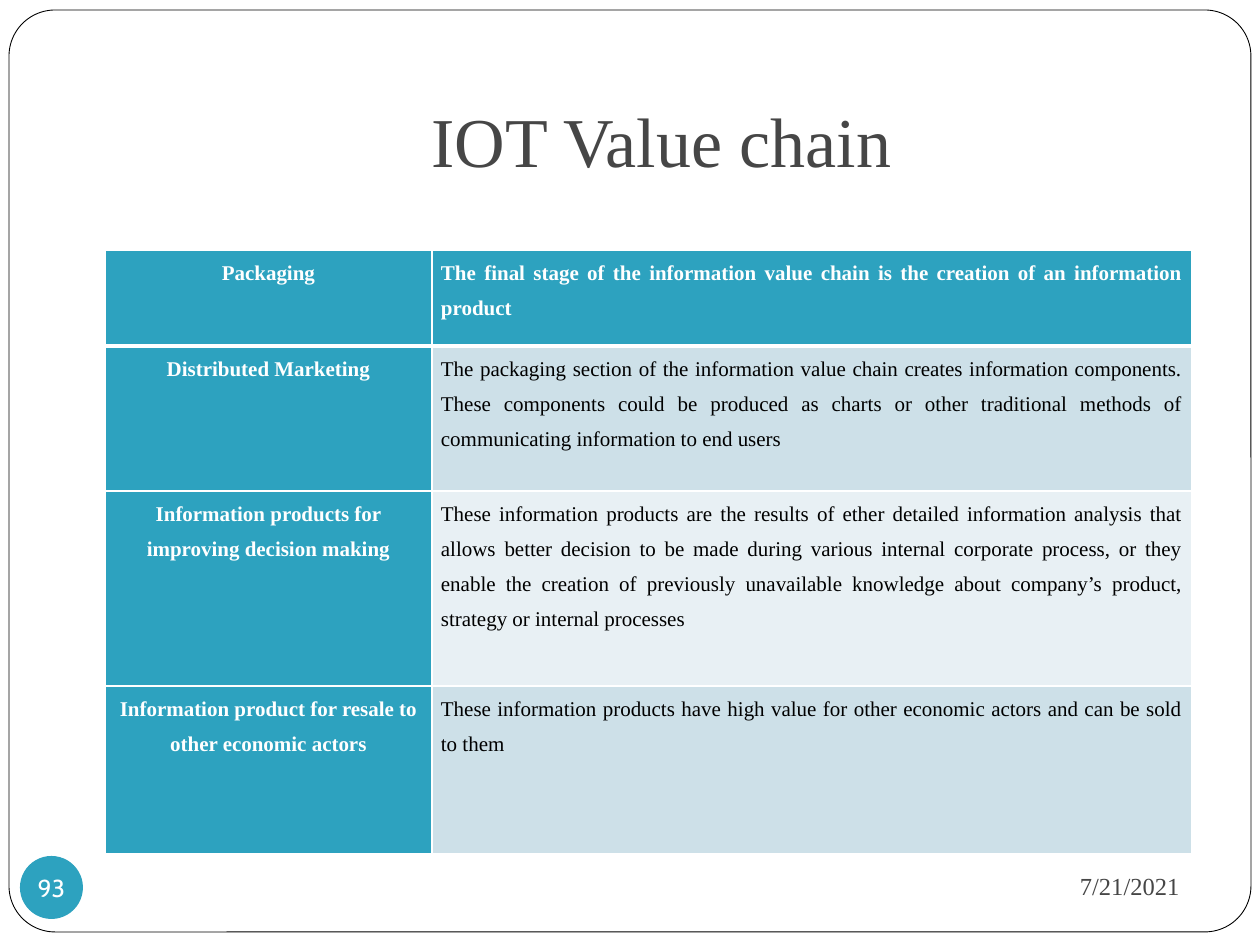
from lxml import etree
from pptx import Presentation
from pptx.dml.color import RGBColor
from pptx.enum.shapes import MSO_SHAPE
from pptx.enum.text import MSO_ANCHOR, MSO_AUTO_SIZE, PP_ALIGN
from pptx.oxml.ns import qn
from pptx.util import Emu, Pt

LEFT, MID, RIGHT, JUST = PP_ALIGN.LEFT, PP_ALIGN.CENTER, PP_ALIGN.RIGHT, PP_ALIGN.JUSTIFY
TOP, CENTRE, BOTTOM = MSO_ANCHOR.TOP, MSO_ANCHOR.MIDDLE, MSO_ANCHOR.BOTTOM
ROUND, OVAL = MSO_SHAPE.ROUNDED_RECTANGLE, MSO_SHAPE.OVAL
FIXED = MSO_AUTO_SIZE.NONE
SCALE = 914400 / 126
SERIF = "Times New Roman"
TEAL, WHITE, BLACK, GREY = "2DA2BF", "FFFFFF", "000000", "464646"
BANDS = ["E8F0F4", "CDE0E8"]
WIDTHS = [327, 760]
HEIGHTS = [96, 145, 195, 168]
ROWS = [
    ("Packaging",
     "The final stage of the information value chain is the creation of an information product"),
    ("Distributed Marketing",
     "The packaging section of the information value chain creates information components. "
     "These components could be produced as charts or other traditional methods of "
     "communicating information to end users"),
    ("Information products for improving decision making",
     "These information products are the results of ether detailed information analysis that "
     "allows better decision to be made during various internal corporate process, or they "
     "enable the creation of previously unavailable knowledge about company’s product, "
     "strategy or internal processes"),
    ("Information product for resale to other economic actors",
     "These information products have high value for other economic actors and can be sold to them"),
]


def px(num):
    """Turn pixels into EMU."""
    return Emu(round(num * SCALE))


def paint(target, tint):
    """Give a fill or line one solid colour."""
    target.fill.solid()
    target.fill.fore_color.rgb = RGBColor.from_string(tint)


def write(frame, text, size=12, tint=BLACK, face=SERIF, bold=False,
          align=LEFT, lead=None, after=None):
    """Put one formatted paragraph in a text frame."""
    para = frame.paragraphs[0]
    para.alignment = align
    if lead:
        para.line_spacing = lead
    if after:
        para.space_after = Pt(after)
    run = para.add_run()
    run.text = text
    font = run.font
    font.size, font.name, font.bold = Pt(size), face, bold
    font.color.rgb = RGBColor.from_string(tint)


def inset(box, left, top, right, low):
    """Set the four inner margins of a frame or cell."""
    box.margin_left, box.margin_top = px(left), px(top)
    box.margin_right, box.margin_bottom = px(right), px(low)


def add_form(slide, kind, box, fill, edge=None):
    """Add a flat preset shape."""
    form = slide.shapes.add_shape(kind, *map(px, box))
    form.shadow.inherit = False
    paint(form, fill)
    if edge:
        paint(form.line, edge)
        form.line.width = Pt(0.5)
    else:
        form.line.fill.background()
    return form


def add_title(slide, text):
    """Place and fill the title."""
    title = slide.shapes.title
    title.left, title.top, title.width, title.height = map(px, (126, 38, 1071, 157))
    frame = title.text_frame
    frame.auto_size, frame.vertical_anchor = FIXED, BOTTOM
    inset(frame, 13, 6, 13, 13)
    write(frame, text, size=40, tint=GREY, align=MID)


def add_frame(slide):
    """Add the rounded page frame behind the title."""
    form = add_form(slide, ROUND, (9, 10, 1242, 922), WHITE, BLACK)
    form.adjustments[0] = 0.05
    slide.shapes.title.element.addprevious(form.element)


def add_date(slide, text):
    """Add the date at the lower right."""
    frame = slide.shapes.add_textbox(*map(px, (850, 853, 342, 66))).text_frame
    frame.word_wrap, frame.vertical_anchor = True, CENTRE
    write(frame, text, size=14, tint=GREY, align=RIGHT)


def add_badge(slide, text):
    """Add the page number in its disc."""
    frame = add_form(slide, OVAL, (20, 856, 63, 63), TEAL).text_frame
    frame.word_wrap, frame.vertical_anchor = False, CENTRE
    inset(frame, 0, 0, 0, 0)
    write(frame, text, size=14, tint=WHITE, face="Cabin", align=MID)


def add_edge(cell, side, width):
    """Draw one white cell border."""
    props = cell._tc.get_or_add_tcPr()
    line = etree.SubElement(props, qn(f"a:ln{side}"), w=str(Pt(width)))
    fill = etree.SubElement(line, qn("a:solidFill"))
    etree.SubElement(fill, qn("a:srgbClr"), val=WHITE)


def fill_cell(cell, text, row, col):
    """Format and fill one table cell."""
    head = row == 0 or col == 0
    inset(cell, 9, 0, 9, 0)
    cell.vertical_anchor = TOP
    for side in "LRTB":
        thick = (row, side) in ((0, "B"), (1, "T"))
        add_edge(cell, side, 3 if thick else 1)
    paint(cell, TEAL if head else BANDS[row % 2])
    write(cell.text_frame, text, tint=WHITE if head else BLACK, bold=head,
          align=JUST if col else MID, lead=1.5, after=10)


def add_grid(slide):
    """Add the table of value chain stages."""
    box = map(px, (105, 250, sum(WIDTHS), sum(HEIGHTS)))
    grid = slide.shapes.add_table(len(ROWS), len(WIDTHS), *box).table
    for col, width in zip(grid.columns, WIDTHS):
        col.width = px(width)
    for row, height in zip(grid.rows, HEIGHTS):
        row.height = px(height)
    for row, texts in enumerate(ROWS):
        for col, text in enumerate(texts):
            fill_cell(grid.cell(row, col), text, row, col)


def main():
    """Build and save the slide."""
    deck = Presentation()
    deck.slide_width, deck.slide_height = px(1260), px(945)
    slide = deck.slides.add_slide(deck.slide_layouts[5])
    add_title(slide, "IOT Value chain")
    add_frame(slide)
    add_date(slide, "7/21/2021")
    add_badge(slide, "93")
    add_grid(slide)
    deck.save("out.pptx")


if __name__ == "__main__":
    main()
